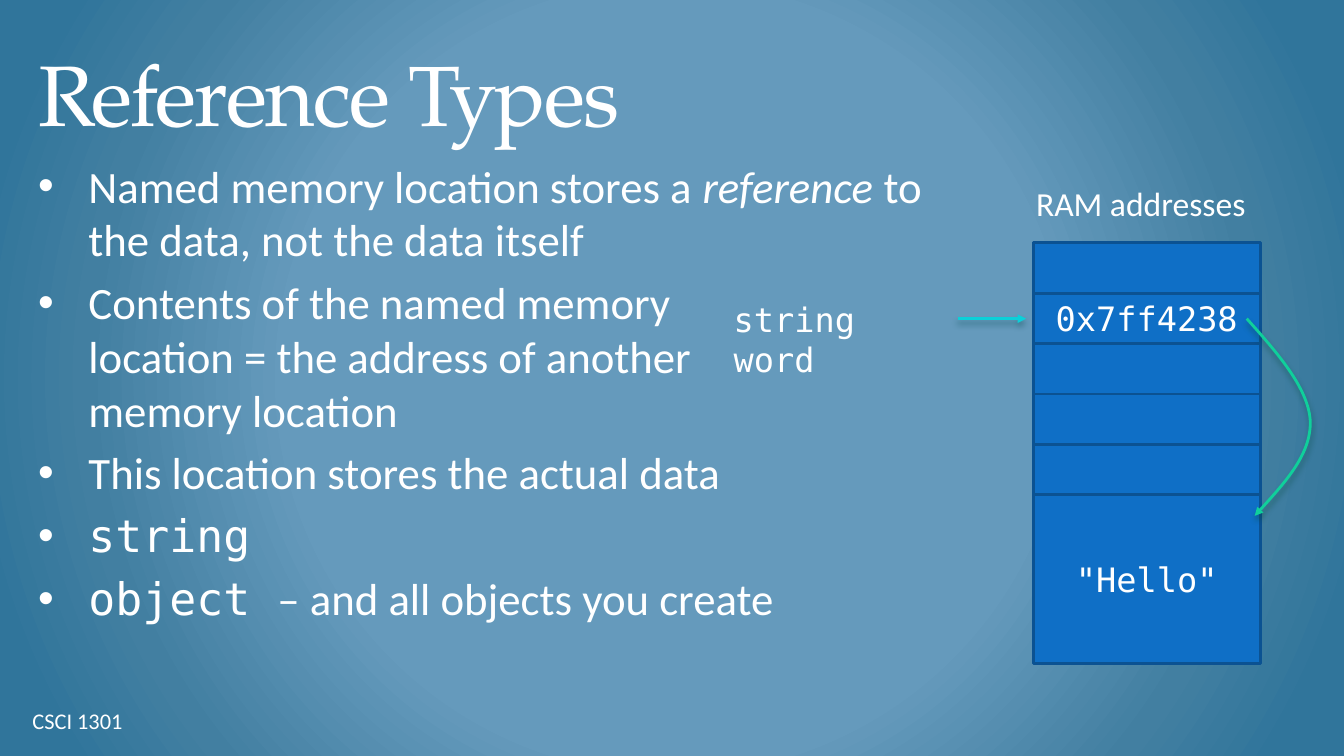
from dataclasses import dataclass

from pptx import Presentation
from pptx.dml.color import RGBColor
from pptx.enum.shapes import MSO_CONNECTOR as Connector, MSO_SHAPE as Shape
from pptx.enum.text import MSO_ANCHOR as Anchor, PP_ALIGN as Align
from pptx.oxml import parse_xml
from pptx.oxml.ns import nsdecls, qn
from pptx.util import Cm, Pt


@dataclass(frozen=True)
class Theme:
    white: str = "FFFFFF"
    cell: str = "0F6FC6"
    cell_edge: str = "0B5292"
    pointer: str = "0BD0D9"
    pointer_shadow: str = "024B4E"
    jump: str = "10CF9B"
    jump_shadow: str = "044A37"
    backdrop: tuple = ((50, "659ABC"), (76, "427FA1"), (92, "30759B"))
    heading: str = "TeX Gyre Pagella"
    sans: str = "Calibri"
    mono: str = "DejaVu Sans Mono"
    title_size: float = 61
    body_size: float = 32
    label_size: float = 24
    footer_size: float = 16
    stroke: float = 2


class SlideBuilder:
    def __init__(self, slide, theme):
        self.slide, self.theme = slide, theme

    def backdrop(self):
        """Radial gradient behind the whole slide."""
        self.slide.background.fill.gradient()
        linear = self.slide.element.find(".//" + qn("a:gradFill"))
        stops = "".join(
            f'<a:gs pos="{pos * 1000}"><a:srgbClr val="{color}"/></a:gs>'
            for pos, color in self.theme.backdrop)
        radial = parse_xml(
            f'<a:gradFill {nsdecls("a")} rotWithShape="1"><a:gsLst>{stops}</a:gsLst>'
            '<a:path path="circle"><a:fillToRect l="50000" t="50000" r="50000" b="50000"/>'
            '</a:path></a:gradFill>')
        linear.getparent().replace(linear, radial)

    def style(self, paragraph, size, face):
        font = paragraph.font
        font.size, font.name = Pt(size), face
        font.color.rgb = RGBColor.from_string(self.theme.white)

    def text(self, box, words, size, face, anchor=Anchor.TOP, wrap=True,
             insets=(0.25, 0.13, 0.25, 0.13)):
        frame = self.slide.shapes.add_textbox(*map(Cm, box)).text_frame
        frame.word_wrap, frame.vertical_anchor = wrap, anchor
        (frame.margin_left, frame.margin_top,
         frame.margin_right, frame.margin_bottom) = map(Cm, insets)
        frame.text = words
        self.style(frame.paragraphs[0], size, face)
        return frame

    def title(self, box, words):
        frame = self.text(box, words, self.theme.title_size, self.theme.heading,
                          Anchor.BOTTOM, insets=(0.32, 0.18, 0.32, 0.18))
        heading = frame.paragraphs[0]
        heading.line_spacing = Pt(77.3)
        heading.runs[0].font._element.set("spc", "-130")

    def bullets(self, box, points):
        """Each point is a list of (words, kind) runs; kind is plain, italic or mono."""
        theme = self.theme
        frame = self.text(box, "", theme.body_size, theme.sans,
                          insets=(0.32, 0.18, 0.32, 0.18))
        for number, point in enumerate(points):
            paragraph = frame.add_paragraph() if number else frame.paragraphs[0]
            all_mono = all(kind == "mono" for _, kind in point)
            paragraph.space_before = Pt(0.2 * theme.body_size)
            self.style(paragraph, theme.body_size, theme.mono if all_mono else theme.sans)
            props = paragraph._p.get_or_add_pPr()
            props.set("marL", str(Cm(1.27)))
            props.set("indent", str(Cm(-1.27)))
            mark = parse_xml(f'<a:buChar {nsdecls("a")} char="•"/>')
            props.find(qn("a:defRPr")).addprevious(mark)
            mark.addprevious(parse_xml(f'<a:buFont {nsdecls("a")} typeface="Arial"/>'))
            for words, kind in point:
                for row, line in enumerate(words.split("\n")):
                    if row:
                        paragraph.add_line_break()
                    run = paragraph.add_run()
                    run.text = line
                    if kind == "italic":
                        run.font.italic = True
                    elif kind == "mono" and not all_mono:
                        run.font.name = theme.mono

    def cell(self, box, words):
        theme = self.theme
        cell = self.slide.shapes.add_shape(Shape.RECTANGLE, *map(Cm, box))
        cell.shadow.inherit = False
        cell.fill.solid()
        cell.fill.fore_color.rgb = RGBColor.from_string(theme.cell)
        cell.line.color.rgb = RGBColor.from_string(theme.cell_edge)
        cell.line.width = Pt(theme.stroke)
        if words:
            frame = cell.text_frame
            frame.text, frame.vertical_anchor = words, Anchor.MIDDLE
            frame.paragraphs[0].alignment = Align.CENTER
            self.style(frame.paragraphs[0], theme.label_size, theme.mono)

    def finish_arrow(self, arrow, color, shadow):
        """Stroke, arrowhead and soft shadow."""
        arrow.line.color.rgb = RGBColor.from_string(color)
        arrow.line.width = Pt(self.theme.stroke)
        props = arrow.element.spPr
        props.find(qn("a:ln")).append(parse_xml(f'<a:tailEnd {nsdecls("a")} type="triangle"/>'))
        props.append(parse_xml(
            f'<a:effectLst {nsdecls("a")}><a:outerShdw blurRad="{Pt(4.5)}" dist="{Pt(3)}" '
            f'dir="5400000" rotWithShape="0"><a:srgbClr val="{shadow}">'
            '<a:alpha val="48000"/></a:srgbClr></a:outerShdw></a:effectLst>'))

    def straight_arrow(self, start, end, color, shadow):
        arrow = self.slide.shapes.add_connector(
            Connector.STRAIGHT, *map(Cm, (*start, *end)))
        self.finish_arrow(arrow, color, shadow)

    def curved_arrow(self, points, color, shadow):
        """Start point, then three points for each cubic curve."""
        start, *rest = [(Cm(x), Cm(y)) for x, y in points]
        builder = self.slide.shapes.build_freeform(*start)
        builder.add_line_segments(rest, close=False)
        arrow = builder.convert_to_shape()
        arrow.fill.background()
        outline = arrow.element.find(".//" + qn("a:path"))
        segments = outline.findall(qn("a:lnTo"))
        for first in range(0, len(segments), 3):
            curve = parse_xml(f'<a:cubicBezTo {nsdecls("a")}/>')
            outline.append(curve)
            for segment in segments[first:first + 3]:
                curve.append(segment[0])
                outline.remove(segment)
        self.finish_arrow(arrow, color, shadow)


def main():
    deck = Presentation()
    deck.slide_width, deck.slide_height = Cm(33.87), Cm(19.05)
    theme = Theme()
    page = SlideBuilder(deck.slides.add_slide(deck.slide_layouts[6]), theme)
    page.backdrop()

    # Title, points and footer
    page.title((0.64, 0.64, 32.6, 3.17), "Reference Types")
    page.bullets((0.64, 3.81, 23.5, 13.2), [
        [("Named memory location stores a ", "plain"), ("reference ", "italic"),
         ("to the data, not the data itself", "plain")],
        [("Contents of the named memory\nlocation = the address of another\n"
          "memory location", "plain")],
        [("This location stores the actual data", "plain")],
        [("string", "mono")],
        [("object ", "mono"), ("– and all objects you create", "plain")],
    ])
    page.text((0.64, 17.65, 10.54, 1.02), "CSCI 1301", theme.footer_size, theme.sans,
              Anchor.MIDDLE, insets=(0.18, 0.18, 0.32, 0.18))

    # Memory cells, stacked from the top
    cell_top, cell_height = 6.12, 1.27
    for words, rows in (("", 1), ("0x7ff4238", 1), ("", 1), ("", 1), ("", 1),
                        ('"Hello"', 3.34)):
        page.cell((26.04, cell_top, 5.72, rows * cell_height), words)
        cell_top += rows * cell_height
    page.text((25.86, 4.47, 6.1, 1.27), "RAM addresses", theme.label_size, theme.sans,
              wrap=False)

    # Variable pointing to its cell, and the reference leading to the data
    page.straight_arrow((24.13, 8.03), (25.86, 8.03), theme.pointer, theme.pointer_shadow)
    page.text((18.24, 7.39, 5.72, 1.27), "string word", theme.label_size, theme.mono)
    page.curved_arrow(
        [(31.42, 8.03), (32.2, 8.9), (32.97, 9.78), (33.02, 10.6),
         (33.05, 11.43), (32.33, 12.22), (31.62, 13)],
        theme.jump, theme.jump_shadow)

    deck.save("out.pptx")


if __name__ == "__main__":
    main()
